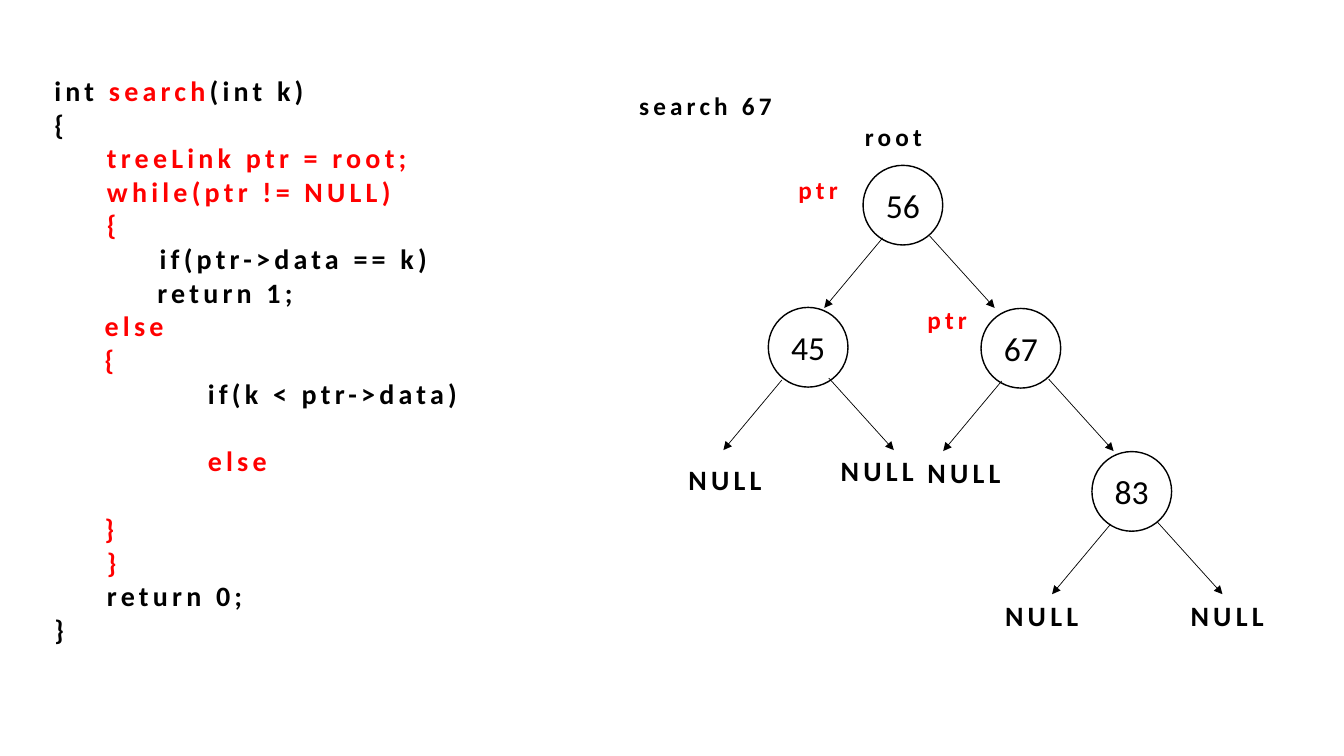
from lxml import etree
from pptx import Presentation
from pptx.dml.color import RGBColor
from pptx.enum.shapes import MSO_CONNECTOR, MSO_SHAPE
from pptx.enum.text import MSO_ANCHOR, MSO_AUTO_SIZE, PP_ALIGN
from pptx.oxml.ns import qn
from pptx.util import Inches, Pt

STRAIGHT = MSO_CONNECTOR.STRAIGHT
ELLIPSE = MSO_SHAPE.OVAL
MIDDLE = MSO_ANCHOR.MIDDLE
GROW = MSO_AUTO_SIZE.SHAPE_TO_FIT_TEXT
CENTER = PP_ALIGN.CENTER

FONT = "Calibri"
BLACK, RED, WHITE = "000000", "FF0000", "FFFFFF"
BLANK_LAYOUT = 6
CODE_LINE = 24.4  # points taken by one line of code

# The slide is a grid of square cells, ten to the inch
SLIDE_COLUMNS, SLIDE_ROWS = 133.3, 75
CODE_BOX = (4.4, 6.8, 53.1, 58.2)
TREE_BOX = (62.4, 8.5, 64.5, 54.8)

# Each line: runs of (text, colour), and the empty lines above it
CODE = [
    ([("int ", BLACK), ("search", RED), ("(int k)", BLACK)], 0),
    ([("{", BLACK)], 0),
    ([("     treeLink ptr = root;", RED)], 0),
    ([("     while(ptr != NULL)", RED)], 0),
    ([("     {", RED)], 0),
    ([("          if(ptr->data == k)", BLACK)], 0),
    ([("    \t     return 1;", BLACK)], 0),
    ([("    \telse", RED)], 0),
    ([("    \t{", RED)], 0),
    ([("      \t     if(k < ptr->data)", BLACK)], 0),
    ([("      \t     else", RED)], 1),
    ([("    \t}", RED)], 1),
    ([("     }", RED)], 0),
    ([("     return 0;", BLACK)], 0),
    ([("}", BLACK)], 0),
]

# Value, centre in the tree box, and sideways shift of its two arrows
NODE_SIZE = 7.9
NODES = [
    ("56", 27.15, 11.85, 0),
    ("45", 17.75, 25.95, -0.6),
    ("67", 38.85, 26.05, 0.1),
    ("83", 49.85, 40.25, -0.1),
]
# Arrow start and end, measured from the centre of the node
ARROWS = [((-2, 3.25), (-7.8, 10.2)), ((2.65, 3.05), (9.1, 10.2))]

NULL_CORNERS = [(4.9, 36.9), (20, 36), (28.6, 36.2), (36.3, 50.4), (54.7, 50.4)]
LABELS = [
    ("search 67", 0, 0, 15.7, BLACK),
    ("root", 22.4, 3, 8.1, BLACK),
    ("ptr", 15.8, 8.3, 7.2, RED),
    ("ptr", 28.6, 21.2, 7.2, RED),
]


def cells(*counts):
    return [Inches(count / 10) for count in counts]


def color(value):
    return RGBColor.from_string(value)


def add_run(paragraph, text, size, text_color, spaced=True):
    run = paragraph.add_run()
    run.text = text
    run.font.name = FONT
    run.font.size = Pt(size)
    run.font.color.rgb = color(text_color)
    if spaced:
        run.font.bold = True
        run._r.get_or_add_rPr().set("spc", "300")


def add_text_box(slide, box, wrap=False):
    frame = slide.shapes.add_textbox(*cells(*box)).text_frame
    frame.word_wrap = wrap
    frame.auto_size = GROW
    return frame


def add_label(slide, box, text, size, text_color):
    frame = add_text_box(slide, box)
    add_run(frame.paragraphs[0], text, size, text_color)


def add_node(slide, value, center_x, center_y):
    half = NODE_SIZE / 2
    node = slide.shapes.add_shape(
        ELLIPSE, *cells(center_x - half, center_y - half, NODE_SIZE, NODE_SIZE))
    node.shadow.inherit = False
    node.fill.solid()
    node.fill.fore_color.rgb = color(WHITE)
    node.line.color.rgb = color(BLACK)
    node.line.width = Pt(1)
    frame = node.text_frame
    frame.word_wrap = False
    frame.vertical_anchor = MIDDLE
    frame.paragraphs[0].alignment = CENTER
    add_run(frame.paragraphs[0], value, 24, BLACK, spaced=False)


def add_arrow(slide, start, end):
    arrow = slide.shapes.add_connector(STRAIGHT, *cells(*start, *end))
    arrow.line.color.rgb = color(BLACK)
    arrow.line.width = Pt(0.5)
    etree.SubElement(arrow.line._get_or_add_ln(), qn("a:tailEnd"), type="triangle")
    etree.SubElement(arrow._element.spPr, qn("a:effectLst"))


def add_code(slide, box):
    frame = add_text_box(slide, box, wrap=True)
    for index, (runs, empty_lines) in enumerate(CODE):
        paragraph = frame.add_paragraph() if index else frame.paragraphs[0]
        if empty_lines:
            paragraph.space_before = Pt(empty_lines * CODE_LINE)
        for text, text_color in runs:
            add_run(paragraph, text, 20, text_color)


def add_tree(slide, box):
    left, top = box[:2]
    # Nodes, each with an arrow to either side
    for value, x, y, shift in NODES:
        center_x, center_y = left + x, top + y
        add_node(slide, value, center_x, center_y)
        for ends in ARROWS:
            start, end = [(center_x + shift + dx, center_y + dy) for dx, dy in ends]
            add_arrow(slide, start, end)
    # Empty links
    for x, y in NULL_CORNERS:
        add_label(slide, (left + x, top + y, 9.8, 4.4), "NULL", 20, BLACK)
    # Search key, root and pointer positions
    for text, x, y, width, text_color in LABELS:
        add_label(slide, (left + x, top + y, width, 4), text, 18, text_color)


def main():
    presentation = Presentation()
    presentation.slide_width, presentation.slide_height = cells(SLIDE_COLUMNS, SLIDE_ROWS)
    slide = presentation.slides.add_slide(presentation.slide_layouts[BLANK_LAYOUT])
    add_code(slide, CODE_BOX)
    add_tree(slide, TREE_BOX)
    presentation.save("out.pptx")


if __name__ == "__main__":
    main()
